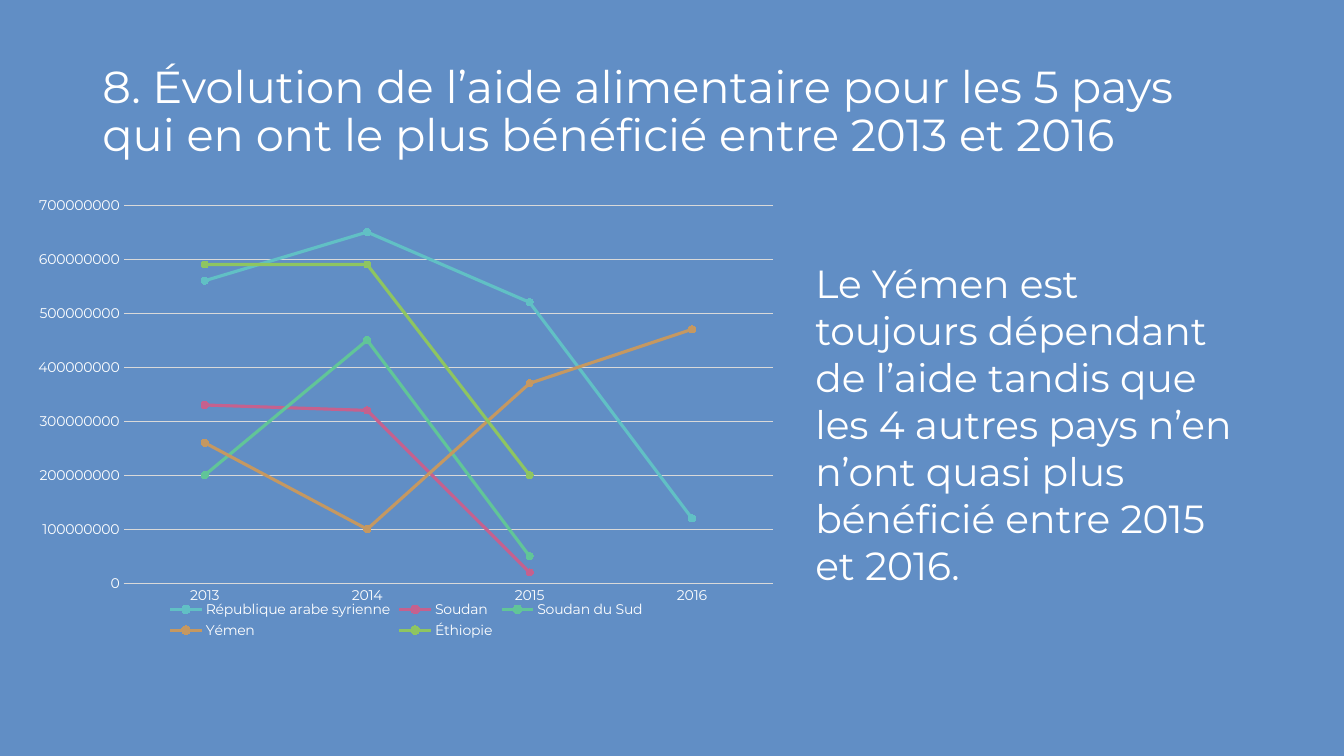
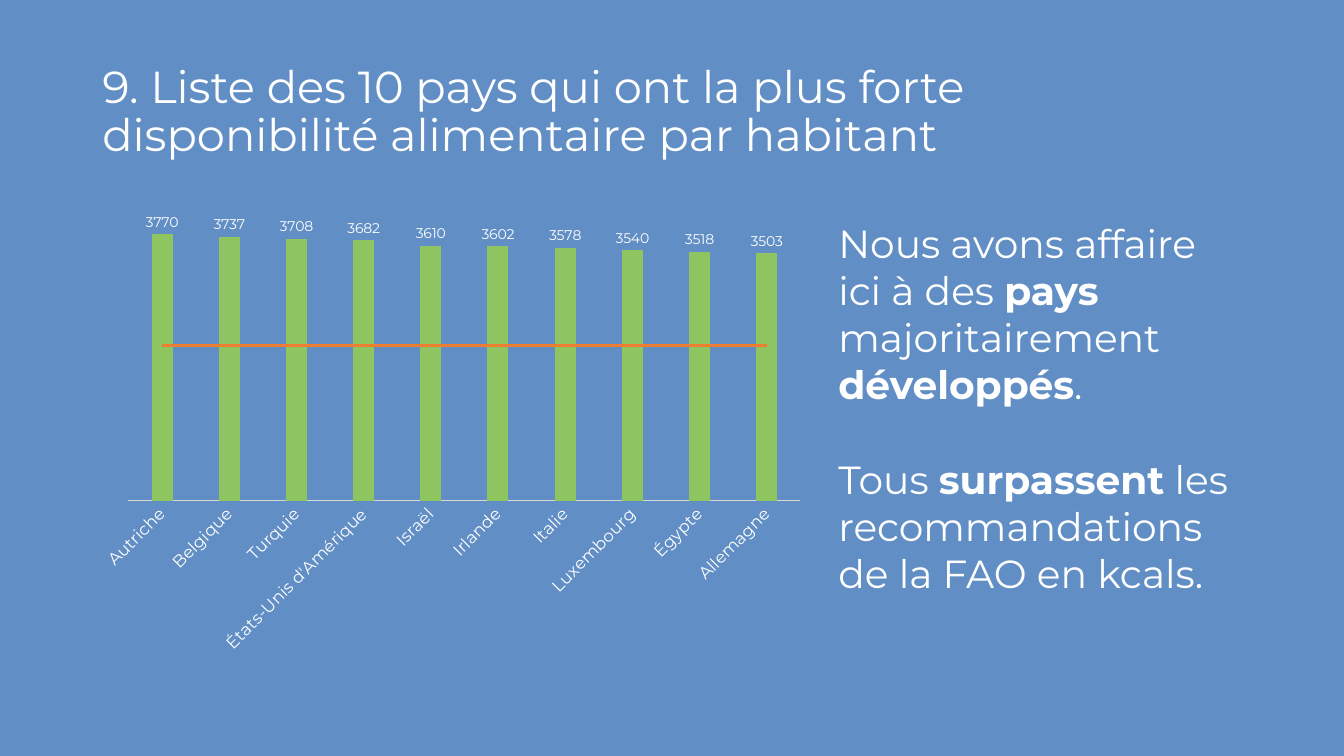
from dataclasses import dataclass

from lxml import etree
from pptx import Presentation
from pptx.chart.chart import Chart
from pptx.chart.data import CategoryChartData
from pptx.dml.color import RGBColor
from pptx.enum.chart import (XL_CHART_TYPE, XL_LABEL_POSITION,
                             XL_LEGEND_POSITION, XL_MARKER_STYLE, XL_TICK_MARK)
from pptx.enum.text import MSO_ANCHOR
from pptx.oxml.ns import qn
from pptx.slide import Slide
from pptx.util import Emu, Pt

LINE_MARKERS = XL_CHART_TYPE.LINE_MARKERS
COLUMNS = XL_CHART_TYPE.COLUMN_CLUSTERED
CIRCLE = XL_MARKER_STYLE.CIRCLE
NO_TICK = XL_TICK_MARK.NONE
BOTTOM = XL_LEGEND_POSITION.BOTTOM
OUTSIDE_END = XL_LABEL_POSITION.OUTSIDE_END
TOP, MIDDLE = MSO_ANCHOR.TOP, MSO_ANCHOR.MIDDLE

EMU_PER_PX = 9525
FONT = "Montserrat"
COLORS = {
    "background": "618EC5",
    "text": "FFFFFF",
    "rule": "D9D9D9",
    "teal": "61C0C5",
    "pink": "C5618E",
    "mint": "61C598",
    "sand": "C59861",
    "green": "8EC561",
    "orange": "ED7D31",
}


@dataclass(frozen=True)
class Box:
    x: int
    y: int
    w: int
    h: int

    def emu(self) -> tuple[Emu, ...]:
        return tuple(Emu(v * EMU_PER_PX) for v in (self.x, self.y, self.w, self.h))


@dataclass(frozen=True)
class Series:
    name: str
    color: str
    values: tuple


@dataclass(frozen=True)
class PlotFrame:
    x: float
    y: float
    w: float
    h: float


TITLE_BOX = Box(88, 38, 1104, 139)

AID_YEARS = ("2013", "2014", "2015", "2016")
AID_SERIES = (
    Series("République arabe syrienne", "teal",
           (560000000, 650000000, 520000000, 120000000)),
    Series("Soudan", "pink", (330000000, 320000000, 20000000, None)),
    Series("Soudan du Sud", "mint", (200000000, 450000000, 50000000, None)),
    Series("Yémen", "sand", (260000000, 100000000, 370000000, 470000000)),
    Series("Éthiopie", "green", (590000000, 590000000, 200000000, None)),
)

SUPPLY_COUNTRIES = ("Autriche", "Belgique", "Turquie", "États-Unis d'Amérique",
                    "Israël", "Irlande", "Italie", "Luxembourg", "Égypte",
                    "Allemagne")
SUPPLY_SERIES = (
    Series("Series 1", "green",
           (3770, 3737, 3708, 3682, 3610, 3602, 3578, 3540, 3518, 3503)),
    Series("Series 2", "orange", (2200,) * len(SUPPLY_COUNTRIES)),
)


def rgb(name: str) -> RGBColor:
    return RGBColor.from_string(COLORS[name])


def style_font(font, size: int) -> None:
    font.name = FONT
    font.size = Pt(size)
    font.color.rgb = rgb("text")


def style_line(line, color: str, width: float) -> None:
    line.color.rgb = rgb(color)
    line.width = Pt(width)


def add_text(s: Slide, box: Box, paragraphs: tuple[str, ...], size: int,
             anchor=TOP, spacing: float = 1.0, gap: int = 0) -> None:
    tf = s.shapes.add_textbox(*box.emu()).text_frame
    tf.word_wrap = True
    tf.vertical_anchor = anchor
    for i, text in enumerate(paragraphs):
        p = tf.add_paragraph() if i else tf.paragraphs[0]
        style_font(p.font, size)
        p.line_spacing = spacing
        p.space_before = Pt(gap if i else 0)
        for j, part in enumerate(text.split("**")):
            r = p.add_run()
            r.text = part
            if j % 2:
                r.font.bold = True


def add_slide(prs, title: str) -> Slide:
    s = prs.slides.add_slide(prs.slide_layouts[6])
    add_text(s, TITLE_BOX, (title,), 32, anchor=MIDDLE, spacing=0.9)
    return s


def set_plot_frame(chart: Chart, frame: PlotFrame) -> None:
    area = chart._chartSpace.xpath("c:chart/c:plotArea")[0]
    for old in area.xpath("c:layout"):
        area.remove(old)
    layout = etree.Element(qn("c:layout"))
    manual = etree.SubElement(layout, qn("c:manualLayout"))
    settings = (("layoutTarget", "inner"), ("xMode", "edge"), ("yMode", "edge"),
                ("x", frame.x), ("y", frame.y), ("w", frame.w), ("h", frame.h))
    for tag, value in settings:
        etree.SubElement(manual, qn(f"c:{tag}")).set("val", str(value))
    area.insert(0, layout)


def add_chart(s: Slide, kind, box: Box, categories: tuple[str, ...],
              series: tuple[Series, ...], label_size: int, top: int,
              step: int, frame: PlotFrame) -> Chart:
    data = CategoryChartData()
    data.categories = categories
    for item in series:
        data.add_series(item.name, item.values)
    chart = s.shapes.add_chart(kind, *box.emu(), data).chart
    chart.has_title = False
    chart.has_legend = False
    style_font(chart.font, 10)
    chart.plots[0].vary_by_categories = False

    cat, val = chart.category_axis, chart.value_axis
    for axis in (cat, val):
        axis.major_tick_mark = axis.minor_tick_mark = NO_TICK
    style_font(cat.tick_labels.font, label_size)
    style_line(cat.format.line, "rule", 0.75)
    val.minimum_scale, val.maximum_scale, val.major_unit = 0, top, step
    set_plot_frame(chart, frame)
    return chart


def style_aid_lines(chart: Chart) -> None:
    val = chart.value_axis
    style_font(val.tick_labels.font, 10)
    val.format.line.fill.background()
    style_line(val.major_gridlines.format.line, "rule", 0.75)
    chart.has_legend = True
    chart.legend.position = BOTTOM
    chart.legend.include_in_layout = False
    style_font(chart.legend.font, 10)
    for line, item in zip(chart.plots[0].series, AID_SERIES):
        line.smooth = False
        style_line(line.format.line, item.color, 2.25)
        line.marker.style = CIRCLE
        line.marker.size = 5
        line.marker.format.fill.solid()
        line.marker.format.fill.fore_color.rgb = rgb(item.color)
        style_line(line.marker.format.line, item.color, 0.75)


def move_to_line_plot(chart: Chart, series) -> None:
    bars = chart._chartSpace.xpath("c:chart/c:plotArea/c:barChart")[0]
    ser = series._element
    for flag in ser.xpath("c:invertIfNegative"):
        ser.remove(flag)
    marker = etree.Element(qn("c:marker"))
    etree.SubElement(marker, qn("c:symbol")).set("val", "none")
    ser.xpath("c:spPr")[0].addnext(marker)
    etree.SubElement(ser, qn("c:smooth")).set("val", "0")

    lines = etree.Element(qn("c:lineChart"))
    etree.SubElement(lines, qn("c:grouping")).set("val", "standard")
    etree.SubElement(lines, qn("c:varyColors")).set("val", "0")
    lines.append(ser)
    etree.SubElement(lines, qn("c:marker")).set("val", "1")
    for axis_id in bars.xpath("c:axId"):
        etree.SubElement(lines, qn("c:axId")).set("val", axis_id.get("val"))
    bars.addnext(lines)


def style_supply_columns(chart: Chart) -> None:
    chart.value_axis.has_major_gridlines = False
    chart.value_axis.visible = False
    body = chart._chartSpace.xpath("c:chart/c:plotArea/c:catAx/c:txPr/a:bodyPr")[0]
    body.set("rot", "-2700000")
    body.set("vert", "horz")
    plot = chart.plots[0]
    plot.gap_width = 219
    columns, threshold = plot.series
    columns.format.fill.solid()
    columns.format.fill.fore_color.rgb = rgb(SUPPLY_SERIES[0].color)
    labels = columns.data_labels
    labels.show_value = True
    labels.position = OUTSIDE_END
    style_font(labels.font, 10)
    style_line(threshold.format.line, SUPPLY_SERIES[1].color, 2.25)
    move_to_line_plot(chart, threshold)


def build_aid_slide(prs) -> None:
    s = add_slide(prs, "8. Évolution de l’aide alimentaire pour les 5 pays "
                       "qui en ont le plus bénéficié entre 2013 et 2016")
    chart = add_chart(s, LINE_MARKERS, Box(23, 178, 728, 434), AID_YEARS,
                      AID_SERIES, 10, 700000000, 100000000,
                      PlotFrame(0.13, 0.04, 0.85, 0.83))
    style_aid_lines(chart)
    add_text(s, Box(767, 242, 425, 326),
             ("Le Yémen est toujours dépendant de l’aide tandis que les 4 autres "
              "pays n’en n’ont quasi plus bénéficié entre 2015 et 2016.",), 28)


def build_supply_slide(prs) -> None:
    s = add_slide(prs, "9. Liste des 10 pays qui ont la plus forte "
                       "disponibilité alimentaire par habitant")
    chart = add_chart(s, COLUMNS, Box(88, 199, 688, 434), SUPPLY_COUNTRIES,
                      SUPPLY_SERIES, 12, 4000, 500,
                      PlotFrame(0.05, 0.02, 0.93, 0.62))
    style_supply_columns(chart)
    add_text(s, Box(789, 204, 403, 372),
             ("Nous avons affaire ici à des **pays** majoritairement "
              "**développés**.",
              "Tous **surpassent** les recommandations de la FAO en kcals."),
             28, gap=34)


def main() -> None:
    prs = Presentation()
    prs.slide_width = Emu(1280 * EMU_PER_PX)
    prs.slide_height = Emu(720 * EMU_PER_PX)
    fill = prs.slide_master.background.fill
    fill.solid()
    fill.fore_color.rgb = rgb("background")
    build_aid_slide(prs)
    build_supply_slide(prs)
    prs.save("out.pptx")


if __name__ == "__main__":
    main()
